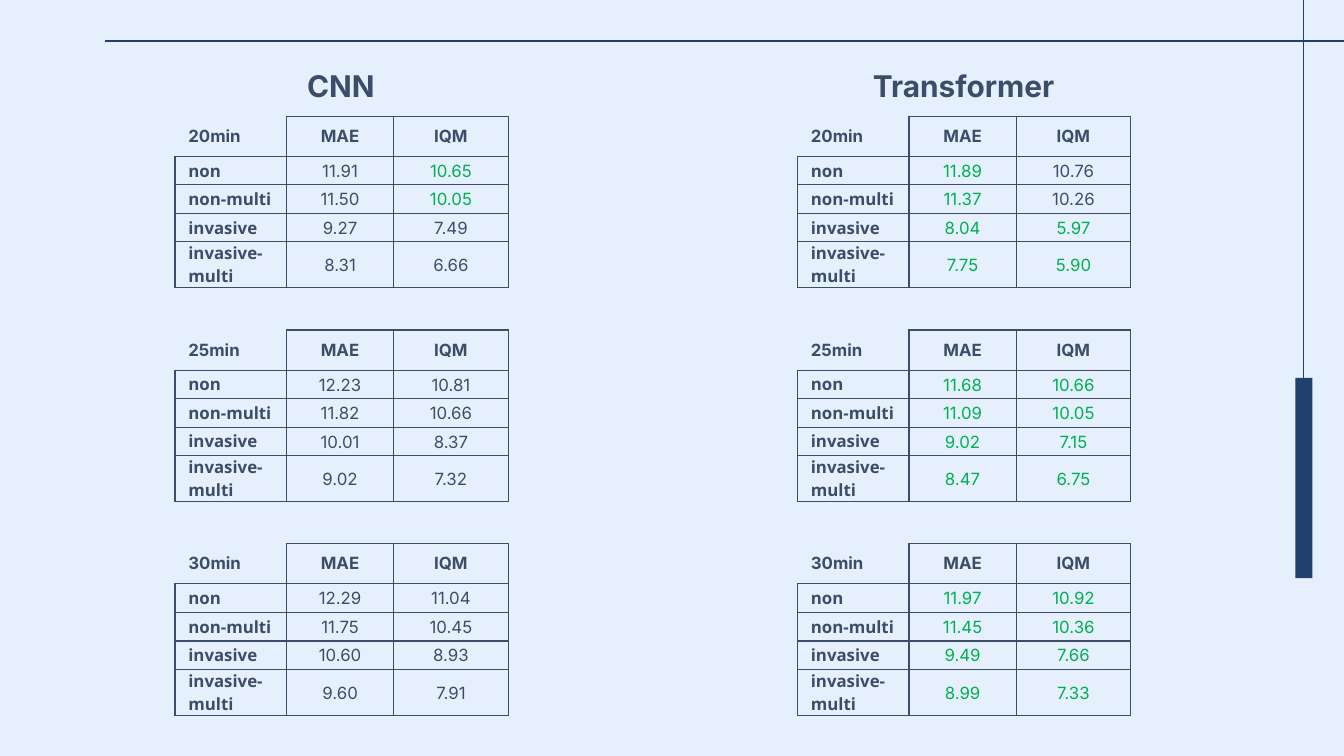
from dataclasses import dataclass

from lxml.etree import SubElement
from pptx import Presentation
from pptx.dml.color import RGBColor
from pptx.enum.shapes import MSO_CONNECTOR, MSO_SHAPE
from pptx.enum.text import MSO_ANCHOR, PP_ALIGN
from pptx.oxml.ns import qn
from pptx.slide import Slide
from pptx.table import _Cell
from pptx.text.text import TextFrame
from pptx.util import Pt

BACKGROUND = RGBColor(0xE6, 0xF0, 0xFD)
NAVY = RGBColor(0x20, 0x40, 0x6E)
SLATE = RGBColor(0x3B, 0x4D, 0x68)
GREEN = RGBColor(0x00, 0xB0, 0x50)

LINE_WIDTH = 0.75
COLUMN_WIDTHS = (59.8, 57.4, 61.4)
ROW_HEIGHTS = (21.5, 15.2, 15.4, 15.2, 24.6)
TABLE_TOP = 62.3
TABLE_PITCH = 114.5
ROW_LABELS = ("non", "non-multi", "invasive", "invasive-multi")
METRICS = ("MAE", "IQM")
HORIZONS = ("20min", "25min", "30min")

Scores = tuple[tuple[float, float], ...]


@dataclass(frozen=True)
class Model:
    name: str
    title_left: float
    table_left: float
    results: tuple[Scores, ...]


CNN = Model("CNN", 26.4, 93.7, (
    ((11.91, 10.65), (11.50, 10.05), (9.27, 7.49), (8.31, 6.66)),
    ((12.23, 10.81), (11.82, 10.66), (10.01, 8.37), (9.02, 7.32)),
    ((12.29, 11.04), (11.75, 10.45), (10.60, 8.93), (9.60, 7.91)),
))
TRANSFORMER = Model("Transformer", 360, 427.2, (
    ((11.89, 10.76), (11.37, 10.26), (8.04, 5.97), (7.75, 5.90)),
    ((11.68, 10.66), (11.09, 10.05), (9.02, 7.15), (8.47, 6.75)),
    ((11.97, 10.92), (11.45, 10.36), (9.49, 7.66), (8.99, 7.33)),
))


def write_text(text_frame: TextFrame, text: str, size: float, font_name: str = "Inter",
               color: RGBColor = SLATE, bold: bool = True,
               alignment: PP_ALIGN = PP_ALIGN.CENTER) -> None:
    text_frame.text = text
    paragraph = text_frame.paragraphs[0]
    paragraph.alignment = alignment
    font = paragraph.runs[0].font
    font.size = Pt(size)
    font.name = font_name
    font.bold = bold
    font.color.rgb = color


def set_borders(cell: _Cell, visible: str) -> None:
    """Draw the sides named in visible (letters of LRTB) and hide the others."""
    properties = cell._tc.get_or_add_tcPr()
    for side in "LRTB":
        border = SubElement(properties, qn(f"a:ln{side}"), w=str(Pt(LINE_WIDTH)))
        if side in visible:
            fill = SubElement(border, qn("a:solidFill"))
            SubElement(fill, qn("a:srgbClr"), val=str(SLATE))
        else:
            SubElement(border, qn("a:noFill"))


def format_cell(cell: _Cell, margins: tuple[float, float, float], filled: bool,
                borders: str = "LRTB") -> None:
    """Apply side, top and bottom margins, borders and fill."""
    side, top, bottom = margins
    cell.margin_left = cell.margin_right = Pt(side)
    cell.margin_top, cell.margin_bottom = Pt(top), Pt(bottom)
    cell.vertical_anchor = MSO_ANCHOR.MIDDLE
    set_borders(cell, borders)
    if filled:
        cell.fill.solid()
        cell.fill.fore_color.rgb = BACKGROUND
    else:
        cell.fill.background()


def add_score_table(slide: Slide, left: float, top: float, horizon: str,
                    scores: Scores, rival_scores: Scores) -> None:
    """Add one table; scores lower than the rival's are green."""
    table = slide.shapes.add_table(
        len(ROW_HEIGHTS), len(COLUMN_WIDTHS), Pt(left), Pt(top),
        Pt(sum(COLUMN_WIDTHS)), Pt(sum(ROW_HEIGHTS))).table
    table.first_row = table.horz_banding = False
    for column, width in zip(table.columns, COLUMN_WIDTHS):
        column.width = Pt(width)
    for row, height in zip(table.rows, ROW_HEIGHTS):
        row.height = Pt(height)

    for index, heading in enumerate((horizon, *METRICS)):
        cell = table.cell(0, index)
        format_cell(cell, (7.2, 5, 5), False, "LRTB" if index else "RB")
        write_text(cell.text_frame, heading, 9,
                   alignment=PP_ALIGN.CENTER if index else PP_ALIGN.LEFT)

    for row_index, label in enumerate(ROW_LABELS):
        cell = table.cell(row_index + 1, 0)
        format_cell(cell, (7.2, 0, 0), True)
        write_text(cell.text_frame, label, 9, "Open Sans", alignment=PP_ALIGN.LEFT)
        pairs = zip(scores[row_index], rival_scores[row_index])
        for column_index, (score, rival) in enumerate(pairs, start=1):
            cell = table.cell(row_index + 1, column_index)
            format_cell(cell, (0.7, 0.7, 0), True)
            write_text(cell.text_frame, f"{score:.2f}", 9, bold=False,
                       color=GREEN if score < rival else SLATE)


def add_title(slide: Slide, text: str, left: float) -> None:
    text_frame = slide.shapes.add_textbox(Pt(left), Pt(20.6), Pt(312.5), Pt(41.8)).text_frame
    text_frame.word_wrap = True
    text_frame.vertical_anchor = MSO_ANCHOR.BOTTOM
    text_frame.margin_left = text_frame.margin_right = Pt(7.2)
    text_frame.margin_top = text_frame.margin_bottom = Pt(7.2)
    write_text(text_frame, text, 16)


def add_line(slide: Slide, x1: float, y1: float, x2: float, y2: float) -> None:
    line = slide.shapes.add_connector(MSO_CONNECTOR.STRAIGHT, Pt(x1), Pt(y1), Pt(x2), Pt(y2))
    line.line.color.rgb = NAVY
    line.line.width = Pt(LINE_WIDTH)
    SubElement(line._element.spPr, qn("a:effectLst"))


def add_frame(slide: Slide) -> None:
    """Add the top rule, the side rule and the side bar."""
    add_line(slide, 720, 21.9, 56.2, 21.9)
    add_line(slide, 698.4, 203, 698.4, 0)
    bar = slide.shapes.add_shape(MSO_SHAPE.RECTANGLE, Pt(693.9), Pt(202.5), Pt(9.2), Pt(107.2))
    bar.shadow.inherit = False
    bar.fill.solid()
    bar.fill.fore_color.rgb = NAVY
    bar.line.fill.background()


def main() -> None:
    presentation = Presentation()
    presentation.slide_width, presentation.slide_height = Pt(720), Pt(405)
    slide = presentation.slides.add_slide(presentation.slide_layouts[6])
    slide.background.fill.solid()
    slide.background.fill.fore_color.rgb = BACKGROUND
    add_frame(slide)
    for model, rival in ((CNN, TRANSFORMER), (TRANSFORMER, CNN)):
        for index, horizon in enumerate(HORIZONS):
            add_score_table(slide, model.table_left, TABLE_TOP + index * TABLE_PITCH,
                            horizon, model.results[index], rival.results[index])
        add_title(slide, model.name, model.title_left)
    presentation.save("out.pptx")


if __name__ == "__main__":
    main()
